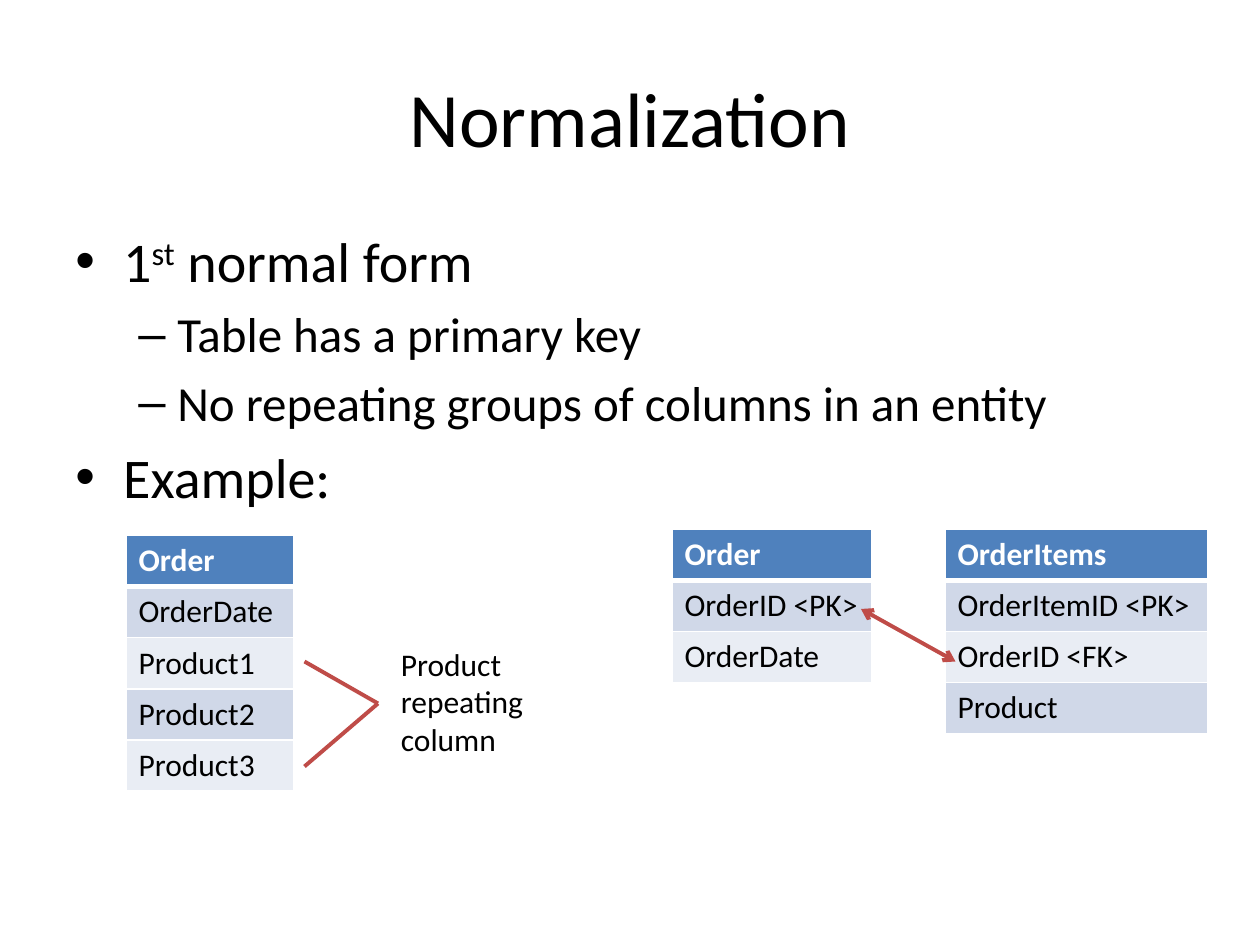
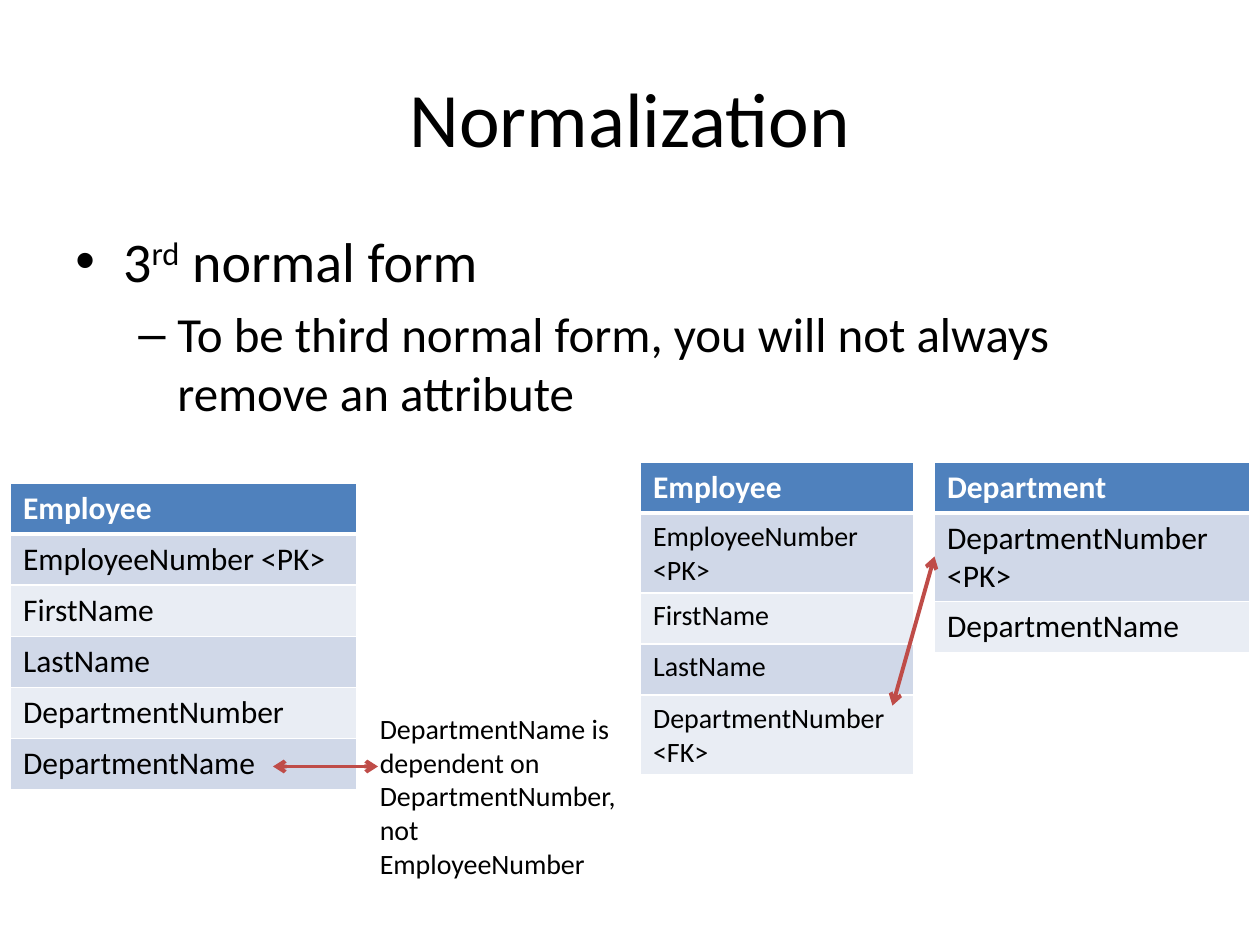
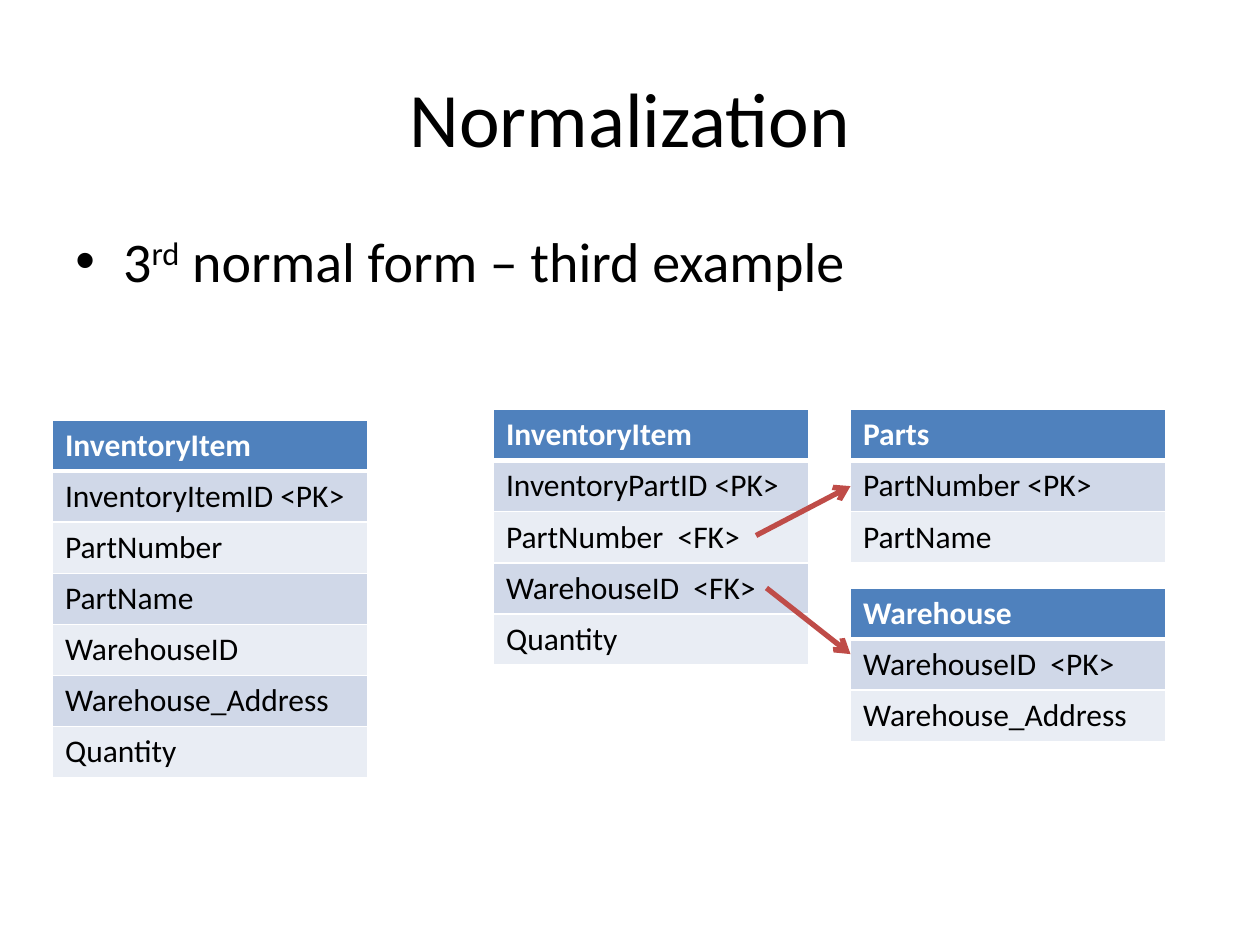
import dataclasses
import typing

import lxml.etree
import pptx
import pptx.dml.color
import pptx.enum.shapes
import pptx.enum.text
import pptx.oxml.ns
import pptx.slide
import pptx.text.text
import pptx.util

WIDTH, HEIGHT = pptx.util.Inches(10), pptx.util.Inches(7.5)
COLUMNS, ROWS = 120, 90
TABLE_ROW = 4.87
FONT = "Calibri"
BLACK, WHITE = "000000", "FFFFFF"
HEADER, BANDS = "4F81BD", ("D0D8E8", "E9EDF4")
ARROW = "BF4C48"
TITLE = "Normalization"


class Level(typing.NamedTuple):
    mark: str
    size: int
    margin: float
    hang: float


LEVELS = (Level("•", 32, 0.38, 0.38), Level("–", 28, 0.81, 0.31))


class Bullet(typing.NamedTuple):
    level: int
    text: str
    raised: str = ""
    rest: str = ""


@dataclasses.dataclass(frozen=True)
class Entity:
    col: float
    row: float
    cols: float
    name: str
    fields: tuple[str, ...]
    size: int = 18


@dataclasses.dataclass(frozen=True)
class Note:
    col: float
    row: float
    cols: float
    rows: float
    text: str
    size: int


@dataclasses.dataclass(frozen=True)
class Link:
    start: tuple[float, float]
    end: tuple[float, float]
    ends: tuple[str, ...] = ("headEnd", "tailEnd")
    width: float = 2.25


@dataclasses.dataclass(frozen=True)
class Page:
    bullets: tuple[Bullet, ...]
    entities: tuple[Entity, ...]
    links: tuple[Link, ...]
    notes: tuple[Note, ...] = ()


PAGES = (
    Page(
        bullets=(
            Bullet(0, "1", "st", " normal form"),
            Bullet(1, "Table has a primary key"),
            Bullet(1, "No repeating groups of columns in an entity"),
            Bullet(0, "Example:"),
        ),
        entities=(
            Entity(12, 51, 16, "Order", ("OrderDate", "Product1", "Product2", "Product3")),
            Entity(64, 50.4, 19, "Order", ("OrderID <PK>", "OrderDate")),
            Entity(90, 50.4, 25, "OrderItems", ("OrderItemID <PK>", "OrderID <FK>", "Product")),
        ),
        links=(
            Link((29, 63), (36, 67), ()),
            Link((36, 67), (29, 73), ()),
            Link((82, 58), (91, 63)),
        ),
        notes=(Note(37, 60.8, 18, 12.1, "Product repeating column", 18),),
    ),
    Page(
        bullets=(
            Bullet(0, "3", "rd", " normal form"),
            Bullet(1, "To be third normal form, you will not always remove an attribute"),
        ),
        entities=(
            Entity(1, 46, 33, "Employee", ("EmployeeNumber <PK>", "FirstName", "LastName",
                                           "DepartmentNumber", "DepartmentName")),
            Entity(61, 44, 26, "Employee", ("EmployeeNumber <PK>", "FirstName", "LastName",
                                            "DepartmentNumber <FK>"), 16),
            Entity(89, 44, 30, "Department", ("DepartmentNumber <PK>", "DepartmentName")),
        ),
        links=(Link((26, 73), (36, 73)), Link((85, 67.2), (89, 53))),
        notes=(Note(35, 67.2, 25, 17.4, "DepartmentName is dependent on "
                    "DepartmentNumber, not EmployeeNumber", 16),),
    ),
    Page(
        bullets=(Bullet(0, "3", "rd", " normal form – third example"),),
        entities=(
            Entity(5, 40, 30, "InventoryItem", ("InventoryItemID <PK>", "PartNumber", "PartName",
                                                "WarehouseID", "Warehouse_Address", "Quantity")),
            Entity(47, 39, 30, "InventoryItem", ("InventoryPartID <PK>", "PartNumber  <FK>",
                                                 "WarehouseID  <FK>", "Quantity")),
            Entity(81, 56, 30, "Warehouse", ("WarehouseID  <PK>", "Warehouse_Address")),
            Entity(81, 39, 30, "Parts", ("PartNumber <PK>", "PartName")),
        ),
        links=(
            Link((72, 51), (81, 46.3), ("tailEnd",), 3),
            Link((73, 56), (81, 62.3), ("tailEnd",), 3),
        ),
    ),
)


def x(cols: float) -> int:
    return round(WIDTH * cols / COLUMNS)


def y(rows: float) -> int:
    return round(HEIGHT * rows / ROWS)


def rgb(value: str) -> pptx.dml.color.RGBColor:
    return pptx.dml.color.RGBColor.from_string(value)


def child(parent: typing.Any, tag: str, **attributes: str) -> typing.Any:
    return lxml.etree.SubElement(parent, pptx.oxml.ns.qn(f"a:{tag}"), attributes)


def add_run(p: typing.Any, text: str, size: float, color: str = BLACK,
            bold: bool = False, raised: bool = False) -> None:
    r = p.add_run()
    r.text = text
    r.font.name = FONT
    r.font.size = pptx.util.Pt(size)
    r.font.bold = bold
    r.font.color.rgb = rgb(color)
    if raised:
        r.font._element.set("baseline", "30000")


def add_box(s: pptx.slide.Slide, col: float, row: float, cols: float,
            rows: float) -> pptx.text.text.TextFrame:
    tf = s.shapes.add_textbox(x(col), y(row), x(cols), y(rows)).text_frame
    tf.word_wrap = True
    return tf


def add_title(s: pptx.slide.Slide) -> None:
    tf = add_box(s, 6, 3.6, 108, 15)
    tf.vertical_anchor = pptx.enum.text.MSO_ANCHOR.MIDDLE
    p = tf.paragraphs[0]
    p.alignment = pptx.enum.text.PP_ALIGN.CENTER
    add_run(p, TITLE, 44)


def add_bullets(s: pptx.slide.Slide, bullets: tuple[Bullet, ...]) -> None:
    tf = add_box(s, 6, 21, 108, 59.4)
    for i, bullet in enumerate(bullets):
        p = tf.add_paragraph() if i else tf.paragraphs[0]
        level = LEVELS[bullet.level]
        pPr = p._p.get_or_add_pPr()
        pPr.set("marL", str(pptx.util.Inches(level.margin)))
        pPr.set("indent", str(-pptx.util.Inches(level.hang)))
        child(pPr, "buFont", typeface="Arial")
        child(pPr, "buChar", char=level.mark)
        p.level = bullet.level
        if i:
            p.space_before = pptx.util.Pt(0.2 * level.size)
        add_run(p, bullet.text, level.size)
        if bullet.raised:
            add_run(p, bullet.raised, level.size, raised=True)
            add_run(p, bullet.rest, level.size)


def add_border(cell: typing.Any, side: str, width: float) -> None:
    ln = child(cell._tc.get_or_add_tcPr(), f"ln{side}", w=str(pptx.util.Pt(width)))
    child(child(ln, "solidFill"), "srgbClr", val=WHITE)


def add_entity(s: pptx.slide.Slide, entity: Entity) -> None:
    texts = (entity.name, *entity.fields)
    table = s.shapes.add_table(len(texts), 1, x(entity.col), y(entity.row),
                               x(entity.cols), y(TABLE_ROW * len(texts))).table
    table.first_row = table.horz_banding = False
    for i, text in enumerate(texts):
        cell = table.cell(i, 0)
        header = i == 0
        add_border(cell, "L", 1)
        add_border(cell, "R", 1)
        if header:
            add_border(cell, "T", 1)
        add_border(cell, "B", 3 if header else 1)
        cell.fill.solid()
        cell.fill.fore_color.rgb = rgb(HEADER if header else BANDS[(i - 1) % 2])
        add_run(cell.text_frame.paragraphs[0], text, 18 if header else entity.size,
                WHITE if header else BLACK, header)


def add_note(s: pptx.slide.Slide, note: Note) -> None:
    tf = add_box(s, note.col, note.row, note.cols, note.rows)
    tf.auto_size = pptx.enum.text.MSO_AUTO_SIZE.SHAPE_TO_FIT_TEXT
    add_run(tf.paragraphs[0], note.text, note.size)


def add_link(s: pptx.slide.Slide, link: Link) -> None:
    (x1, y1), (x2, y2) = link.start, link.end
    sp = s.shapes.add_connector(pptx.enum.shapes.MSO_CONNECTOR.STRAIGHT,
                                x(x1), y(y1), x(x2), y(y2))
    sp.line.color.rgb = rgb(ARROW)
    sp.line.width = pptx.util.Pt(link.width)
    for end in link.ends:
        child(sp.line._get_or_add_ln(), end, type="arrow")
    child(sp._element.spPr, "effectLst")


def main() -> None:
    prs = pptx.Presentation()
    prs.slide_width, prs.slide_height = WIDTH, HEIGHT
    for page in PAGES:
        s = prs.slides.add_slide(prs.slide_layouts[6])
        add_title(s)
        add_bullets(s, page.bullets)
        for entity in page.entities:
            add_entity(s, entity)
        for note in page.notes:
            add_note(s, note)
        for link in page.links:
            add_link(s, link)
    prs.save("out.pptx")


if __name__ == "__main__":
    main()
